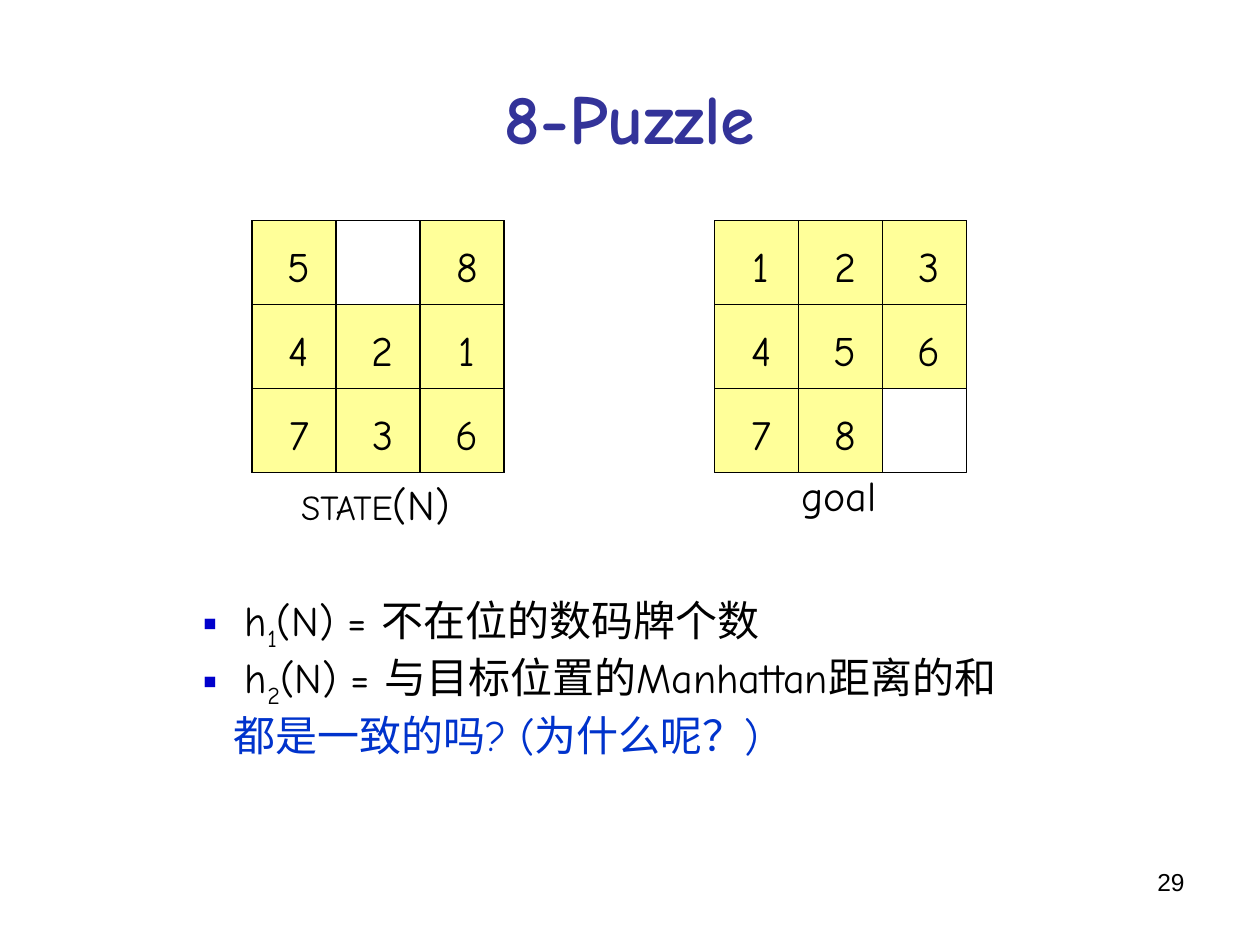
import pptx
import pptx.dml.color
import pptx.enum.shapes
import pptx.enum.text
import pptx.oxml.ns
import pptx.util
from lxml import etree
from pptx.util import Cm

FONT = "Comic Neue"
BLACK, TITLE_BLUE, BULLET_BLUE, QUESTION_BLUE = "000000", "333399", "0000CC", "0033CC"
TILE_YELLOW = "FFFF99"
ALIGN = pptx.enum.text.PP_ALIGN
ANCHOR = pptx.enum.text.MSO_ANCHOR

TITLE = "8-Puzzle"
PAGE_NUMBER = "29"
BOARD_TOP, TILE = 4.45, 5.08 / 3
# Left edge in cm and rows of tiles; 0 is the empty square.
BOARDS = [
    (5.08, [(5, 0, 8), (4, 2, 1), (7, 3, 6)]),
    (14.4, [(1, 2, 3), (4, 5, 6), (7, 8, 0)]),
]
# Position and size in cm, then runs of (text, points).
CAPTIONS = [
    ((5.82, 9.53, 3.6, 1.27), [("STATE", 20), ("(N)", 24)]),
    ((15.9, 9.35, 2.03, 1.27), [("goal", 24)]),
]
# Runs of (text, is subscript).
HEURISTICS = [
    [("h", False), ("1", True), ("(N) = 不在位的数码牌个数", False)],
    [("h", False), ("2", True), ("(N) = 与目标位置的Manhattan距离的和", False)],
]
QUESTION = "都是一致的吗? (为什么呢？)"


def rgb(value):
    return pptx.dml.color.RGBColor.from_string(value)


def add_span(para, text, size=24, color=BLACK, font=FONT, bold=False):
    span = para.add_run()
    span.text = text
    span.font.size = pptx.util.Pt(size)
    span.font.name = font
    span.font.bold = bold
    span.font.color.rgb = rgb(color)
    return span


def place(shape, left, top, width, height):
    shape.left, shape.top = Cm(left), Cm(top)
    shape.width, shape.height = Cm(width), Cm(height)


def add_square(group, left, top, size, fill=None):
    square = group.shapes.add_shape(
        pptx.enum.shapes.MSO_SHAPE.RECTANGLE, Cm(left), Cm(top), Cm(size), Cm(size))
    square.shadow.inherit = False
    if fill:
        square.fill.solid()
        square.fill.fore_color.rgb = rgb(fill)
    else:
        square.fill.background()
    square.line.color.rgb = rgb(BLACK)
    square.line.width = pptx.util.Pt(0.75)
    return square


def add_board(page, left, rows):
    group = page.shapes.add_group_shape()
    add_square(group, left, BOARD_TOP, 3 * TILE)
    for row, numbers in enumerate(rows):
        for column, number in enumerate(numbers):
            if not number:
                continue
            tile = add_square(
                group, left + column * TILE, BOARD_TOP + row * TILE, TILE, TILE_YELLOW)
            frame = tile.text_frame
            frame.margin_left, frame.margin_right = Cm(0.2), Cm(0)
            frame.margin_top, frame.margin_bottom = Cm(0.1), Cm(0)
            frame.vertical_anchor = ANCHOR.MIDDLE
            para = frame.paragraphs[0]
            para.alignment = ALIGN.CENTER
            add_span(para, str(number))


def set_bullet(para, margin, indent=0, mark=None):
    properties = para._p.get_or_add_pPr()
    properties.set("marL", str(Cm(margin)))
    properties.set("indent", str(Cm(indent)))
    qn = pptx.oxml.ns.qn
    if mark:
        color = etree.SubElement(properties, qn("a:buClr"))
        etree.SubElement(color, qn("a:srgbClr"), val=BULLET_BLUE)
        etree.SubElement(properties, qn("a:buChar"), char=mark)
    else:
        etree.SubElement(properties, qn("a:buNone"))
    para.space_before = pptx.util.Pt(0)


def fill_body(body):
    frame = body.text_frame
    frame.auto_size = pptx.enum.text.MSO_AUTO_SIZE.NONE
    for index, runs in enumerate(HEURISTICS):
        para = frame.add_paragraph() if index else frame.paragraphs[0]
        para.level = 1
        set_bullet(para, 1.5, -0.85, "▪")
        for text, subscript in runs:
            span = add_span(para, text)
            if subscript:
                span.font._element.set("baseline", "-25000")
    para = frame.add_paragraph()
    para.level = 1
    set_bullet(para, 1.27)
    add_span(para, QUESTION, color=QUESTION_BLUE)


def main():
    deck = pptx.Presentation()
    deck.slide_width, deck.slide_height = Cm(25.4), Cm(19.05)
    page = deck.slides.add_slide(deck.slide_layouts[1])

    title = page.shapes.title
    place(title, 1.27, 0.76, 22.86, 3.18)
    title.text_frame.vertical_anchor = ANCHOR.MIDDLE
    para = title.text_frame.paragraphs[0]
    para.alignment = ALIGN.CENTER
    add_span(para, TITLE, 40, TITLE_BLUE, bold=True)

    for left, rows in BOARDS:
        add_board(page, left, rows)

    for position, runs in CAPTIONS:
        box = page.shapes.add_textbox(*map(Cm, position))
        box.text_frame.word_wrap = False
        for text, size in runs:
            add_span(box.text_frame.paragraphs[0], text, size)

    body = page.placeholders[1]
    place(body, 3.18, 11.86, 20.12, 3.58)
    fill_body(body)

    number_box = page.shapes.add_textbox(Cm(18.21), Cm(17.35), Cm(5.92), Cm(1.32))
    number_box.text_frame.word_wrap = True
    para = number_box.text_frame.paragraphs[0]
    para.alignment = ALIGN.RIGHT
    add_span(para, PAGE_NUMBER, 14, font="Arial")

    deck.save("out.pptx")


if __name__ == "__main__":
    main()
